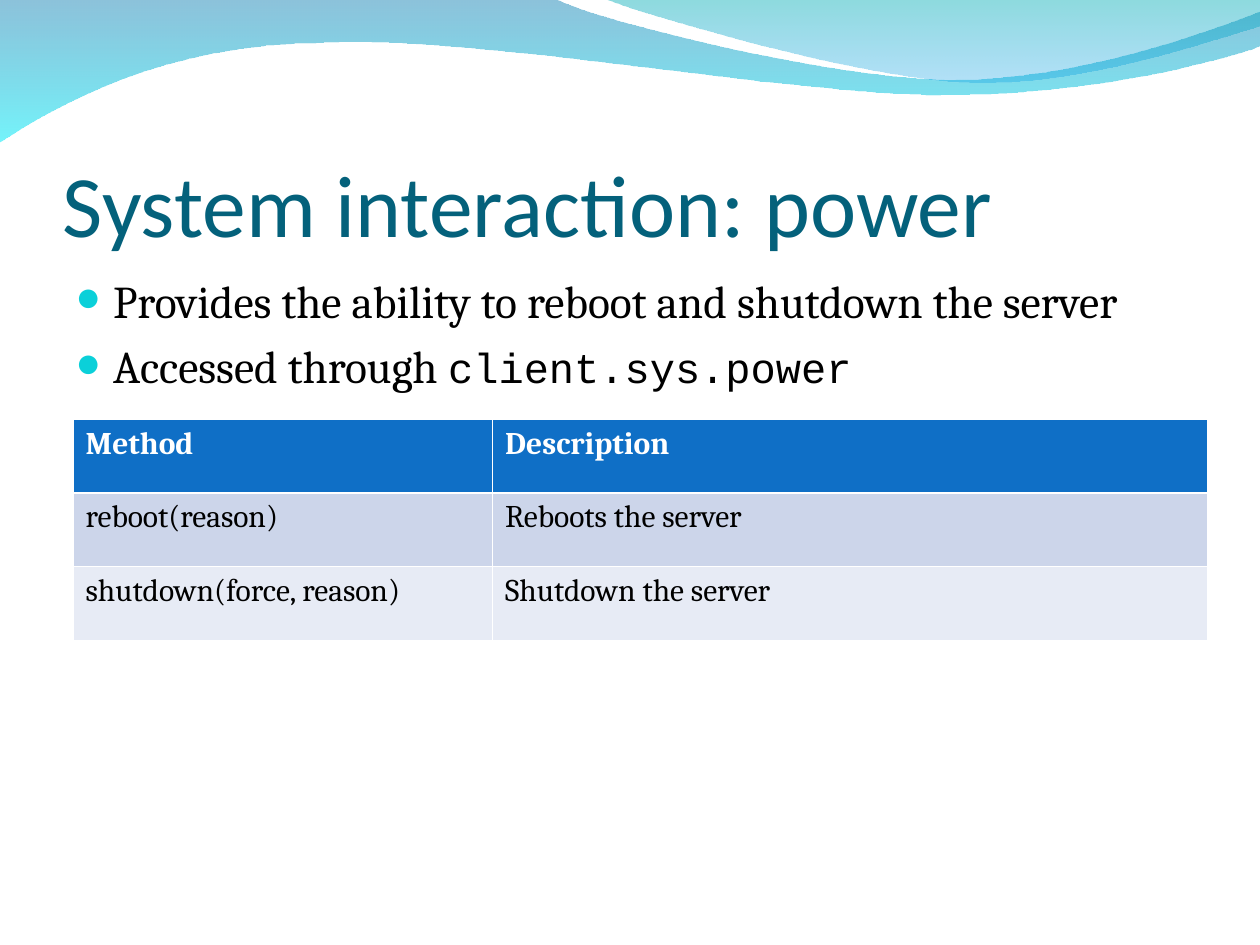
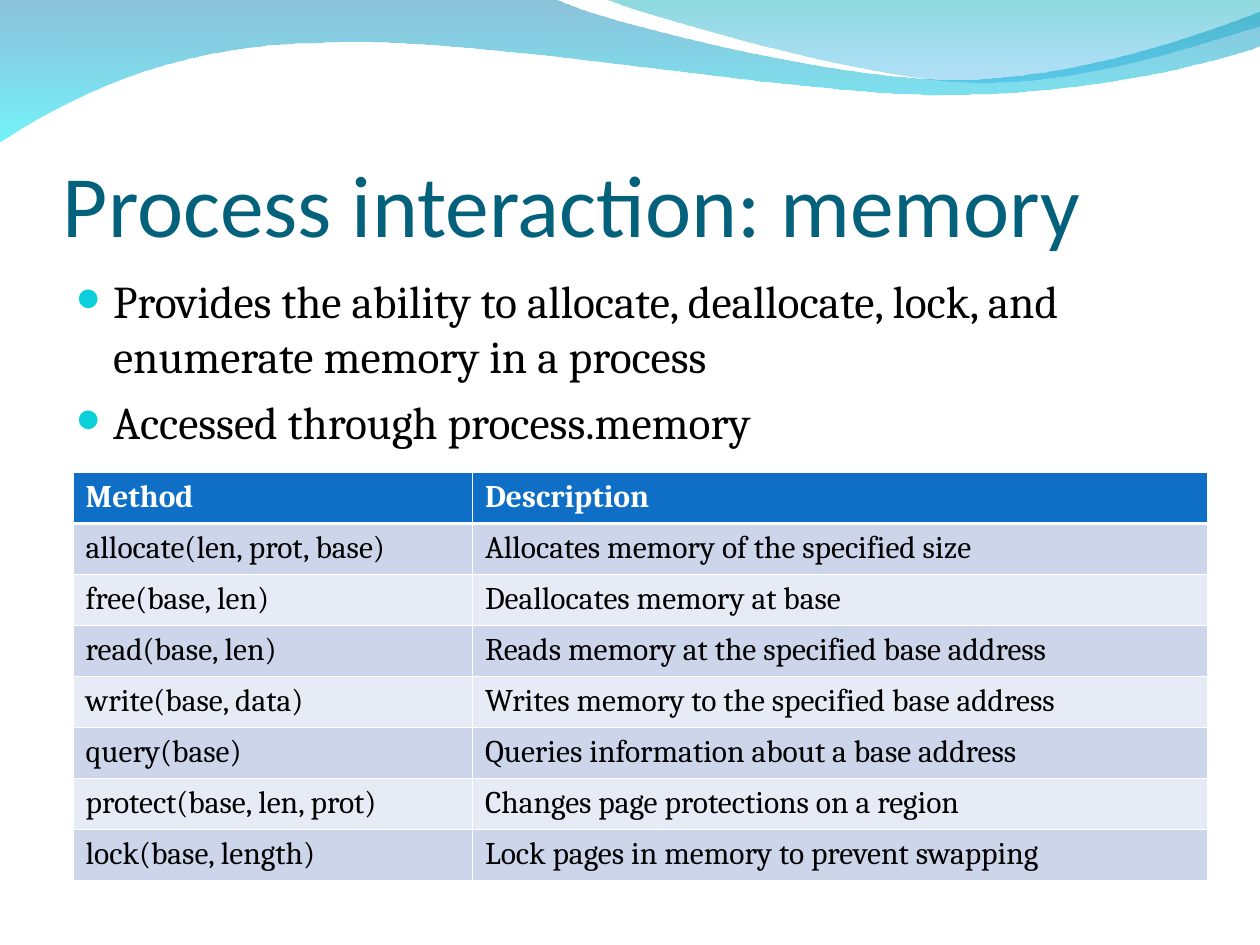
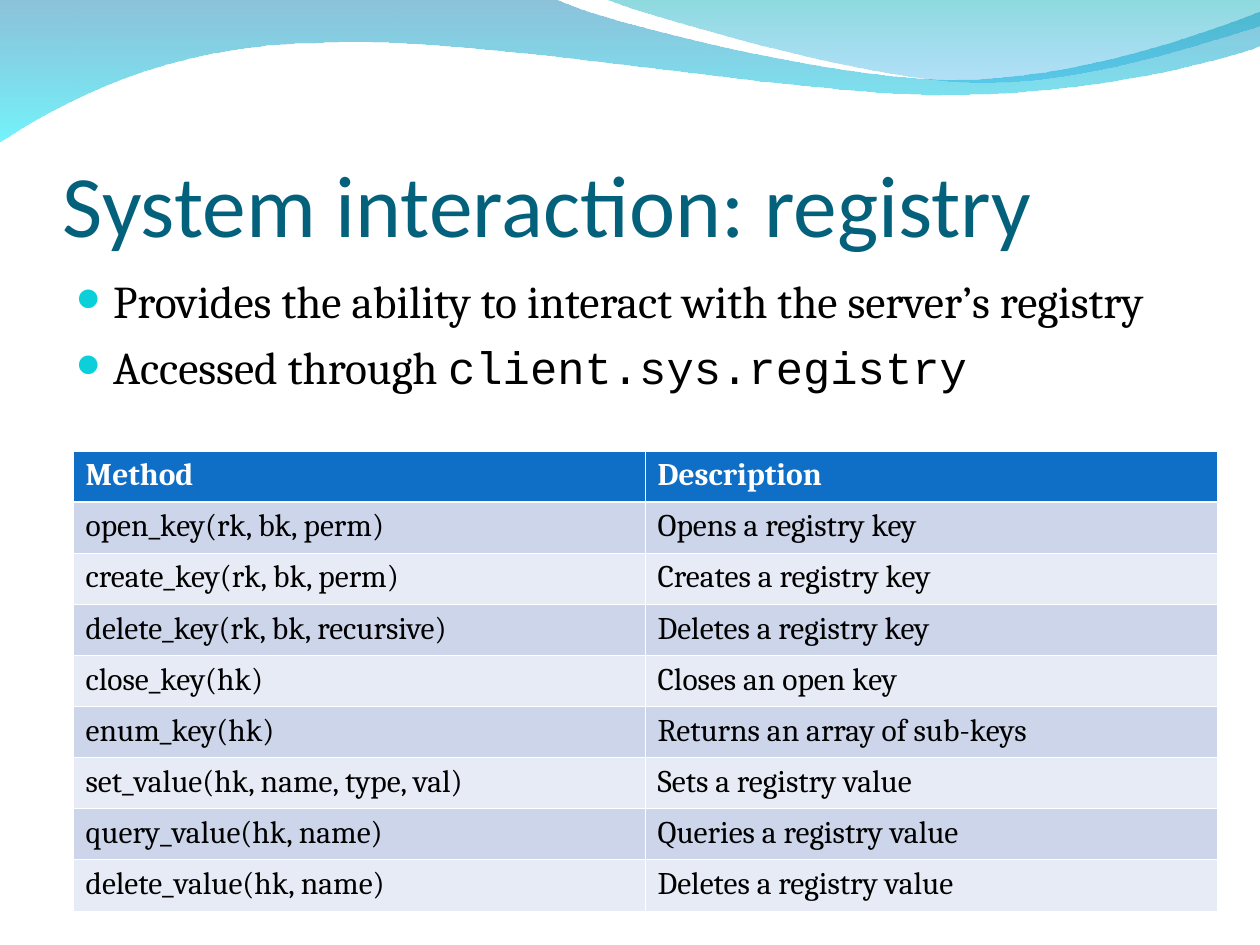
from pptx import Presentation
from pptx.dml.color import RGBColor
from pptx.enum.text import MSO_ANCHOR
from pptx.oxml import parse_xml
from pptx.oxml.ns import nsdecls, qn
from pptx.util import Inches, Pt

TITLE_COLOR = "04617B"
BULLET_COLOR = "0BD0D9"
HEADER_FILL = "0F6FC6"
BAND_FILLS = ["E7EBF5", "CCD5EA"]
WHITE, BLACK = "FFFFFF", "000000"
BODY_FONT, CODE_FONT = "Cambria", "Courier New"

# Each wave: start point, then lines (2 numbers) and Bezier curves (6 numbers),
# then the top and bottom gradient colours with their opacity in percent.
WAVES = [
    ((0, -0.01),
     [(4.4, -0.01), (4.76, 0.17, 6.64, 0.63, 7.58, 0.63),
      (8.53, 0.63, 9.58, 0.26, 10, 0.09), (10.01, 0.36),
      (9.83, 0.44, 8.7, 0.76, 7.46, 0.75),
      (6.22, 0.75, 3.82, 0.28, 2.57, 0.34),
      (1.29, 0.35, 0.46, 0.83, -0.01, 1.13), (0, -0.01)],
     [("0079AF", 45), ("00EBF8", 55)]),
    ((4.79, -0.01),
     [(5.09, 0.11, 6.82, 0.62, 7.69, 0.65),
      (8.56, 0.69, 9.61, 0.32, 10, 0.21), (10, 0), (4.79, -0.01)],
     [("00ADB6", 45), ("009BE5", 30)]),
]

# Bullets are lists of (text, font, size) runs.
SLIDES = [
    {
        "title": "System interaction: power",
        "bullets": [
            [("Provides the ability to reboot and shutdown the server", BODY_FONT, 26)],
            [("Accessed through ", BODY_FONT, 26), ("client.sys.power", CODE_FONT, 24)],
        ],
        "table_top": 3.33, "table_height": 1.75, "columns": [3.33, 5.67],
        "methods": [
            ("reboot(reason)", "Reboots the server"),
            ("shutdown(force, reason)", "Shutdown the server"),
        ],
    },
    {
        "title": "Process interaction: memory",
        "bullets": [
            [("Provides the ability to allocate, deallocate, lock, and "
              "enumerate memory in a process", BODY_FONT, 26)],
            [("Accessed through process.memory", BODY_FONT, 26)],
        ],
        "table_top": 3.75, "table_height": 3.24, "columns": [3.17, 5.83],
        "methods": [
            ("allocate(len, prot, base)", "Allocates memory of the specified size"),
            ("free(base, len)", "Deallocates memory at base"),
            ("read(base, len)", "Reads memory at the specified base address"),
            ("write(base, data)", "Writes memory to the specified base address"),
            ("query(base)", "Queries information about a base address"),
            ("protect(base, len, prot)", "Changes page protections on a region"),
            ("lock(base, length)", "Lock pages in memory to prevent swapping"),
        ],
    },
    {
        "title": "System interaction: registry",
        "bullets": [
            [("Provides the ability to interact with the server’s registry", BODY_FONT, 26)],
            [("Accessed through ", BODY_FONT, 26), ("client.sys.registry", CODE_FONT, 26)],
        ],
        "table_top": 3.58, "table_height": 3.65, "columns": [4.54, 4.54],
        "methods": [
            ("open_key(rk, bk, perm)", "Opens a registry key"),
            ("create_key(rk, bk, perm)", "Creates a registry key"),
            ("delete_key(rk, bk, recursive)", "Deletes a registry key"),
            ("close_key(hk)", "Closes an open key"),
            ("enum_key(hk)", "Returns an array of sub-keys"),
            ("set_value(hk, name, type, val)", "Sets a registry value"),
            ("query_value(hk, name)", "Queries a registry value"),
            ("delete_value(hk, name)", "Deletes a registry value"),
        ],
    },
]


def rgb(hex_color):
    return RGBColor.from_string(hex_color)


def add_run(paragraph, text, font, size, color, bold=False):
    run = paragraph.add_run()
    run.text = text
    run.font.name = font
    run.font.size = Pt(size)
    run.font.bold = bold
    run.font.color.rgb = rgb(color)


prs = Presentation()
prs.slide_width, prs.slide_height = Inches(10), Inches(7.5)
slides = [prs.slides.add_slide(prs.slide_layouts[6]) for _ in SLIDES]

# Only slides can build freeforms, so each wave is moved to the master afterwards.
for start, segments, gradient in WAVES:
    builder = slides[0].shapes.build_freeform(Inches(start[0]), Inches(start[1]))
    builder.add_line_segments([(Inches(s[-2]), Inches(s[-1])) for s in segments], close=True)
    wave = builder.convert_to_shape()
    for line, segment in zip(list(wave.element.iter(qn("a:lnTo"))), segments):
        if len(segment) == 6:
            points = "".join(
                f'<a:pt x="{Inches(x) - wave.left}" y="{Inches(y) - wave.top}"/>'
                for x, y in zip(segment[::2], segment[1::2]))
            line.getparent().replace(line, parse_xml(
                f'<a:cubicBezTo {nsdecls("a")}>{points}</a:cubicBezTo>'))
    wave.shadow.inherit = False
    wave.line.fill.background()
    wave.fill.gradient()
    wave.fill.gradient_angle = 270
    for stop, (color, opacity) in zip(wave.fill.gradient_stops, gradient):
        stop.color.rgb = rgb(color)
    for stop_color, (color, opacity) in zip(wave.element.spPr.iter(qn("a:srgbClr")), gradient):
        stop_color.append(parse_xml(f'<a:alpha {nsdecls("a")} val="{opacity * 1000}"/>'))
    prs.slide_master.shapes.element.append(wave.element)

for slide, content in zip(slides, SLIDES):
    title = slide.shapes.add_textbox(Inches(0.5), Inches(0.77), Inches(9), Inches(1.25)).text_frame
    title.word_wrap = True
    title.vertical_anchor = MSO_ANCHOR.BOTTOM
    title.margin_left = title.margin_right = title.margin_bottom = 0
    add_run(title.paragraphs[0], content["title"], "Calibri", 50, TITLE_COLOR)

    body = slide.shapes.add_textbox(Inches(0.5), Inches(2.12), Inches(9), Inches(4.8)).text_frame
    body.word_wrap = True
    for index, runs in enumerate(content["bullets"]):
        bullet = body.add_paragraph() if index else body.paragraphs[0]
        bullet.space_before = Pt(runs[-1][2] / 4)
        props = bullet._p.get_or_add_pPr()
        props.set("marL", str(Inches(0.3)))
        props.set("indent", str(-Inches(0.3)))
        for xml in (f'<a:buClr {nsdecls("a")}><a:srgbClr val="{BULLET_COLOR}"/></a:buClr>',
                    f'<a:buSzPct {nsdecls("a")} val="95000"/>',
                    f'<a:buFont {nsdecls("a")} typeface="{CODE_FONT}"/>',
                    f'<a:buChar {nsdecls("a")} char="●"/>'):
            props.append(parse_xml(xml))
        for text, font, size in runs:
            add_run(bullet, text, font, size, BLACK)

    rows = [("Method", "Description")] + content["methods"]
    widths = content["columns"]
    table = slide.shapes.add_table(
        len(rows), len(widths), Inches(0.58), Inches(content["table_top"]),
        Inches(sum(widths)), Inches(content["table_height"])).table
    for column, width in zip(table.columns, widths):
        column.width = Inches(width)
    for row_index, row in enumerate(rows):
        table.rows[row_index].height = Inches(content["table_height"] / len(rows))
        is_header = row_index == 0
        for column_index, text in enumerate(row):
            cell = table.cell(row_index, column_index)
            cell.fill.solid()
            cell.fill.fore_color.rgb = rgb(HEADER_FILL if is_header else BAND_FILLS[row_index % 2])
            add_run(cell.text_frame.paragraphs[0], text, BODY_FONT, 18,
                    WHITE if is_header else BLACK, is_header)
            thick_side = {0: "lnB", 1: "lnT"}.get(row_index)
            for position, side in enumerate(("lnL", "lnR", "lnT", "lnB")):
                border_width = Pt(1.47 if side == thick_side else 0.45)
                cell._tc.get_or_add_tcPr().insert(position, parse_xml(
                    f'<a:{side} {nsdecls("a")} w="{border_width}"><a:solidFill>'
                    f'<a:srgbClr val="{WHITE}"/></a:solidFill></a:{side}>'))

prs.save("out.pptx")
